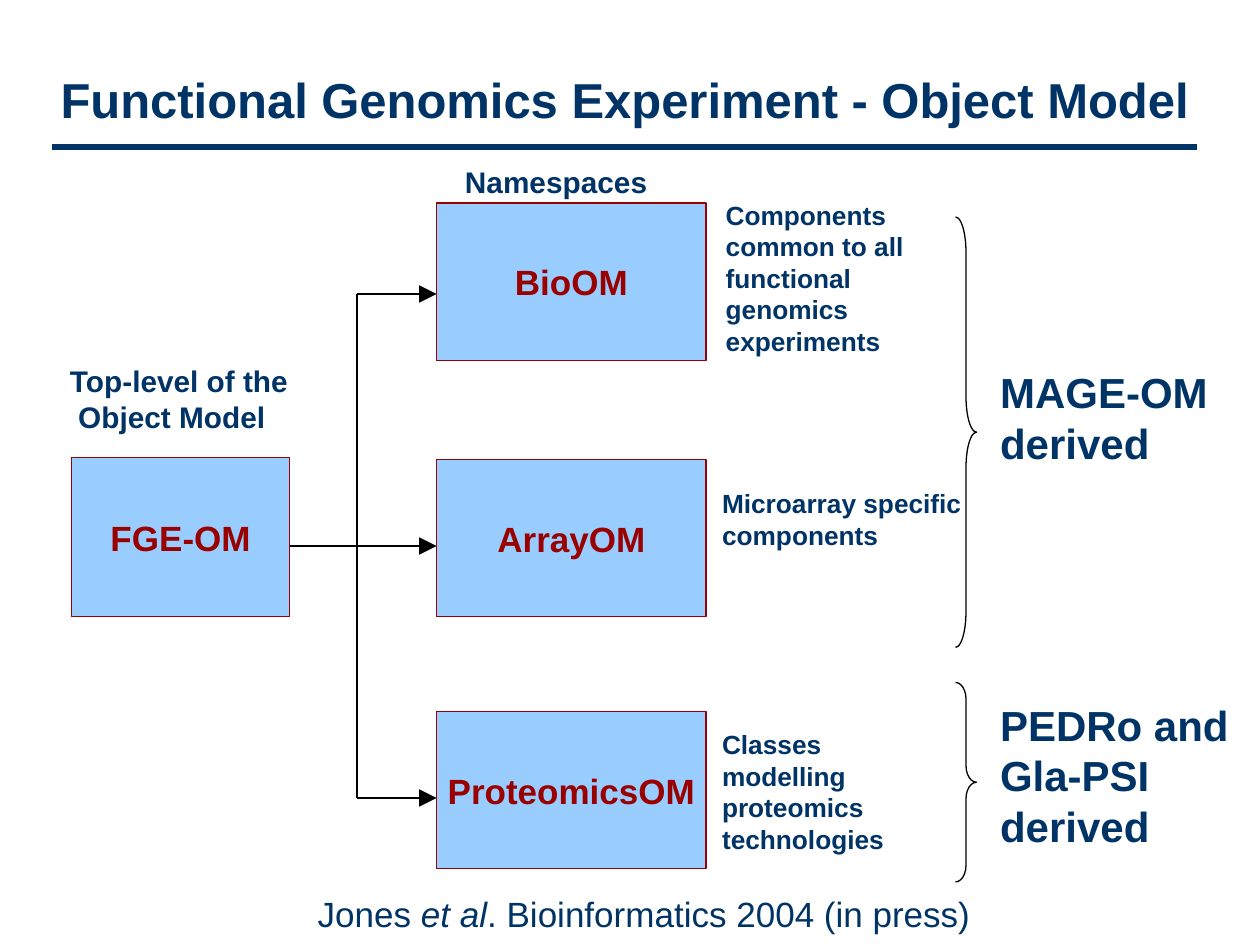
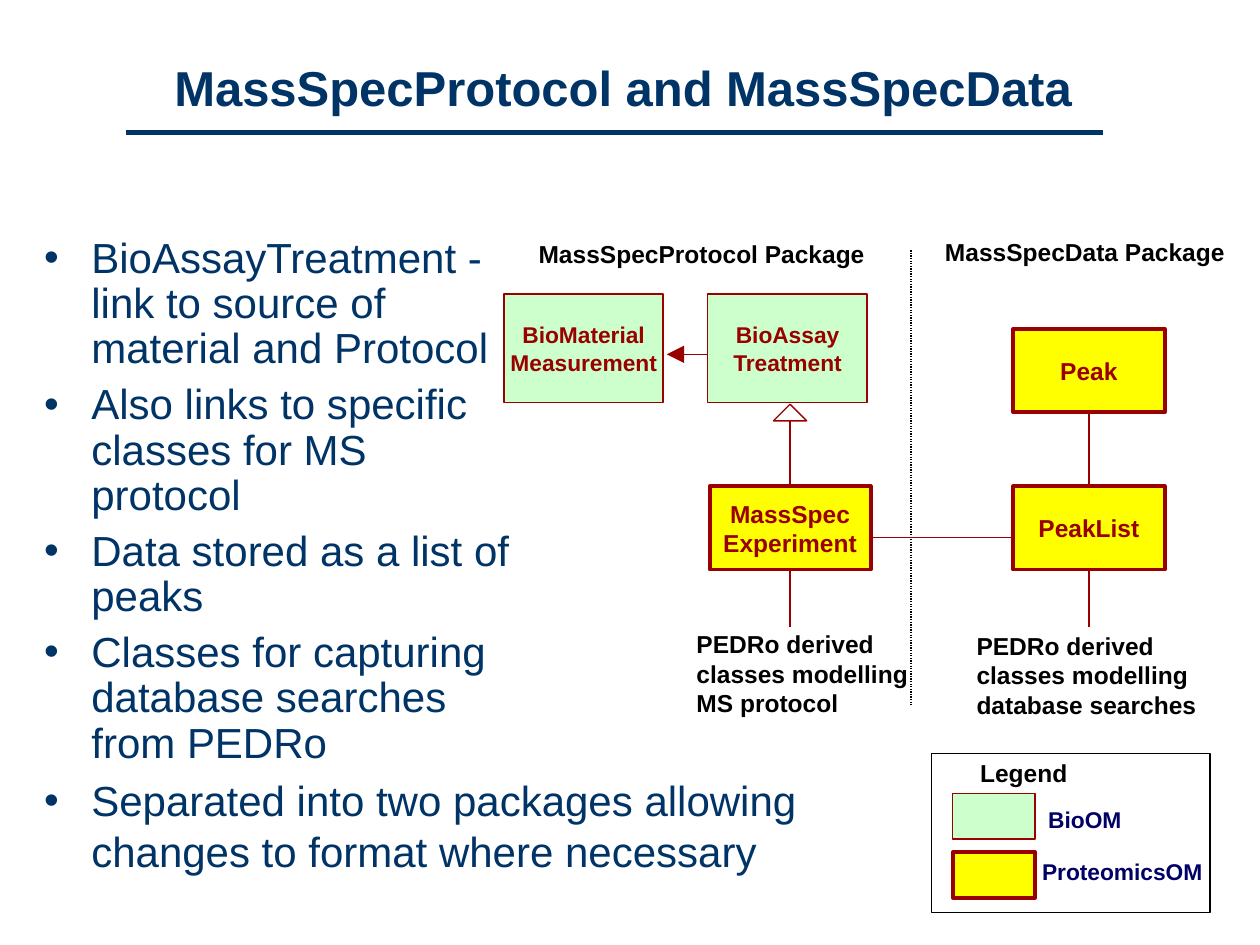
from dataclasses import dataclass

from lxml import etree
from pptx import Presentation
from pptx.dml.color import RGBColor
from pptx.enum.dml import MSO_LINE
from pptx.enum.shapes import MSO_CONNECTOR, MSO_SHAPE
from pptx.enum.text import MSO_ANCHOR, MSO_AUTO_SIZE, PP_ALIGN
from pptx.oxml.ns import qn
from pptx.util import Pt

LEFT, CENTER = PP_ALIGN.LEFT, PP_ALIGN.CENTER
TOP, MIDDLE = MSO_ANCHOR.TOP, MSO_ANCHOR.MIDDLE
RECTANGLE, BRACE = MSO_SHAPE.RECTANGLE, MSO_SHAPE.RIGHT_BRACE
TRIANGLE = MSO_SHAPE.ISOSCELES_TRIANGLE
STRAIGHT, DOTTED = MSO_CONNECTOR.STRAIGHT, MSO_LINE.ROUND_DOT
SIDE_TOP, SIDE_BOTTOM = 0, 2
TITLE_ONLY, TITLE_AND_BODY = 5, 1


@dataclass(frozen=True)
class Theme:
    font: str = "Arial"
    navy: str = "003366"
    indigo: str = "000066"
    maroon: str = "990000"
    black: str = "000000"
    sky: str = "99CCFF"
    mint: str = "CCFFCC"
    yellow: str = "FFFF00"
    title: float = 28
    body: float = 24
    model: float = 20
    heading: float = 17
    note: float = 15
    label: float = 14
    small: float = 13
    thin: float = 0.75
    thick: float = 2.25
    rule: float = 3
    hang: float = 27


class Deck:
    """Holds the theme and the slide being drawn."""

    def __init__(self, theme):
        self.theme = theme
        self.prs = Presentation()
        self.prs.slide_width, self.prs.slide_height = Pt(720), Pt(540)
        self.slide = None

    def new_slide(self, layout, title, title_box, rule):
        t = self.theme
        self.slide = self.prs.slides.add_slide(self.prs.slide_layouts[layout])
        heading = self.slide.shapes.title
        self.place(heading, title_box)
        self.set_text(heading, [title], t.title, t.navy, True, CENTER, MIDDLE)
        left, right, y = rule
        self.line((left, y), (right, y), t.navy, t.rule)

    def place(self, shape, box):
        shape.left, shape.top, shape.width, shape.height = map(Pt, box)

    def set_text(self, shape, paragraphs, size, color, bold=False,
                 align=LEFT, anchor=TOP):
        """A paragraph is a string or a list of (text, italic) runs;
        a newline in a run is a line break."""
        frame = shape.text_frame
        frame.word_wrap = True
        frame.auto_size = MSO_AUTO_SIZE.NONE
        frame.vertical_anchor = anchor
        frame.margin_left = frame.margin_right = 0
        frame.margin_top = frame.margin_bottom = 0
        for i, runs in enumerate(paragraphs):
            para = frame.add_paragraph() if i else frame.paragraphs[0]
            para.alignment = align
            if isinstance(runs, str):
                runs = [(runs, False)]
            for words, italic in runs:
                for n, part in enumerate(words.split("\n")):
                    if n:
                        para.add_line_break()
                    run = para.add_run()
                    run.text = part
                    font = run.font
                    font.name, font.size = self.theme.font, Pt(size)
                    font.bold, font.italic = bold, italic
                    font.color.rgb = RGBColor.from_string(color)
        return frame

    def text(self, box, paragraphs, size, color, bold=True, **layout):
        holder = self.slide.shapes.add_textbox(*map(Pt, box))
        return self.set_text(holder, paragraphs, size, color, bold, **layout)

    def bullets(self, frame, line_spacing=None, space_before=0):
        hang = Pt(self.theme.hang)
        for para in frame.paragraphs:
            para.line_spacing = line_spacing
            para.space_before = Pt(space_before)
            props = para._p.get_or_add_pPr()
            props.set("marL", str(hang))
            props.set("indent", str(-hang))
            color = etree.SubElement(props, qn("a:buClr"))
            etree.SubElement(color, qn("a:srgbClr"), val=self.theme.navy)
            etree.SubElement(props, qn("a:buFont"), typeface=self.theme.font)
            etree.SubElement(props, qn("a:buChar"), char="•")

    def body(self, box, items):
        holder = self.slide.placeholders[1]
        self.place(holder, box)
        frame = self.set_text(holder, items, self.theme.body, self.theme.navy)
        self.bullets(frame, 0.9, 6)

    def shape(self, kind, box, fill, stroke, weight):
        shape = self.slide.shapes.add_shape(kind, *map(Pt, box))
        shape.shadow.inherit = False
        if fill:
            shape.fill.solid()
            shape.fill.fore_color.rgb = RGBColor.from_string(fill)
        else:
            shape.fill.background()
        shape.line.color.rgb = RGBColor.from_string(stroke)
        shape.line.width = Pt(weight)
        return shape

    def node(self, box, fill, name="", size=0, weight=None):
        t = self.theme
        node = self.shape(RECTANGLE, box, fill, t.maroon, weight or t.thin)
        if name:
            self.set_text(node, [name], size, t.maroon, True, CENTER, MIDDLE)
        return node

    def brace(self, box):
        brace = self.shape(BRACE, box, None, self.theme.black, self.theme.thin)
        brace.adjustments[0] = box[3] / 12 / box[2]

    def line(self, start, end, color, weight=None, arrow=False, dash=None,
             begin=None, finish=None):
        """begin and finish are (shape, side) pairs to join."""
        link = self.slide.shapes.add_connector(
            STRAIGHT, *map(Pt, (*start, *end)))
        if begin:
            link.begin_connect(*begin)
        if finish:
            link.end_connect(*finish)
        link.line.color.rgb = RGBColor.from_string(color)
        link.line.width = Pt(weight or self.theme.thin)
        if dash:
            link.line.dash_style = dash
        props = link._element.spPr
        if arrow:
            etree.SubElement(props.find(qn("a:ln")), qn("a:tailEnd"),
                             type="triangle", w="lg", len="lg")
        etree.SubElement(props, qn("a:effectLst"))


def object_model(deck):
    t = deck.theme
    deck.new_slide(TITLE_ONLY, "Functional Genomics Experiment - Object Model",
                   (18, 11.5, 678, 90), (30, 684, 84))

    # Top level and its namespaces
    deck.text((40, 207.5, 132, 41), ["Top-level of the", " Object Model"],
              t.heading, t.navy)
    deck.node((41, 261.5, 124.5, 91), t.sky, "FGE-OM", t.model)
    deck.text((265.7, 93.6, 110, 20), ["Namespaces"], t.heading, t.navy)

    namespaces = [
        ("BioOM", 116, 168, (414.7, 113.8, 136, 90),
         "Components common to all functional genomics experiments"),
        ("ArrayOM", 262.5, 312, (412.6, 278.6, 148, 36),
         "Microarray specific components"),
        ("ProteomicsOM", 406.5, 456, (412.6, 416.2, 128, 72),
         "Classes modelling proteomics technologies"),
    ]
    trunk_x, namespace_x = 204, 249.5
    for name, top, arrow_y, note_box, note in namespaces:
        deck.node((namespace_x, top, 154, 90), t.sky, name, t.model)
        deck.text(note_box, [note], t.note, t.navy)
        start_x = 165.5 if name == "ArrayOM" else trunk_x
        deck.line((start_x, arrow_y), (namespace_x, arrow_y), t.black,
                  arrow=True)
    deck.line((trunk_x, 168), (trunk_x, 456), t.black)

    # Where the namespaces come from
    for top, height in ((124, 246), (390, 114)):
        deck.brace((546, top, 12, height))
    deck.text((571.5, 209.5, 140, 58), ["MAGE-OM", "derived"], t.body, t.navy)
    deck.text((571.5, 399.6, 136, 87), ["PEDRo and Gla-PSI", "derived"],
              t.body, t.navy)
    deck.text((181.5, 510, 437, 25),
              [[("Jones ", False), ("et al", True),
                (". Bioinformatics 2004 (in press)", False)]],
              t.model, t.navy, bold=False)


def mass_spec(deck):
    t = deck.theme
    deck.new_slide(TITLE_AND_BODY, "MassSpecProtocol and MassSpecData",
                   (76, 29, 560, 41), (72, 630, 75.6))

    # Key points
    deck.body((25.2, 135.4, 279.4, 317), [
        "BioAssayTreatment - link to source of material and Protocol",
        "Also links to specific classes for MS\nprotocol",
        "Data stored as a list of peaks",
        "Classes for capturing database searches from PEDRo",
    ])
    packages_point = deck.text(
        (25.2, 442.8, 448, 58),
        ["Separated into two packages allowing changes to format "
         "where necessary"], t.body, t.navy, bold=False)
    deck.bullets(packages_point)

    # Package headings and divider
    for box, package in (((302, 134, 198, 22), "MassSpecProtocol Package"),
                         ((534, 133, 172, 22), "MassSpecData Package")):
        deck.text(box, [package], t.label, t.black, align=CENTER,
                  anchor=MIDDLE)
    deck.line((520.5, 143), (520.5, 402.5), t.black, dash=DOTTED)

    # Classes
    for left, name in ((288, "BioMaterial Measurement"),
                       (404.5, "BioAssay Treatment")):
        deck.node((left, 168, 91, 62), t.mint, name, t.small)
    experiment, peak_list, peak = [
        deck.node((left, top, width, 47.5), t.yellow, name, t.label, t.thick)
        for left, top, width, name in (
            (405.5, 278, 92, "MassSpec Experiment"),
            (579, 278, 86.5, "PeakList"),
            (579, 188, 86.5, "Peak"))]

    # Relations
    experiment_x, peak_x = 451.5, 622.25
    deck.line((404.5, 202.5), (381, 202.5), t.maroon, arrow=True)
    deck.shape(TRIANGLE, (experiment_x - 9.5, 231, 19, 9.5), None,
               t.maroon, t.thin)
    deck.line((experiment_x, 278), (experiment_x, 240.5), t.maroon,
              begin=(experiment, SIDE_TOP))
    deck.line((497.5, 307), (579, 307), t.maroon)
    deck.line((peak_x, 235.5), (peak_x, 278), t.maroon,
              begin=(peak, SIDE_BOTTOM), finish=(peak_list, SIDE_TOP))
    for source, x in ((experiment, experiment_x), (peak_list, peak_x)):
        deck.line((x, 325.5), (x, 358.5), t.maroon,
                  begin=(source, SIDE_BOTTOM))
    for box, subject in (((398, 359.5, 138, 51), "MS protocol"),
                         ((558, 360.5, 140, 51), "database searches")):
        deck.text(box, [f"PEDRo derived classes modelling {subject}"],
                  t.label, t.black)

    # Legend
    deck.shape(RECTANGLE, (532.5, 430.5, 159, 91), None, t.black, t.thin)
    deck.text((558.5, 430.5, 53, 22), ["Legend"], t.label, t.black,
              align=CENTER, anchor=MIDDLE)
    for top, fill, weight, label_x, label_y, name in (
            (453.5, t.mint, t.thin, 599, 457, "BioOM"),
            (487, t.yellow, t.thick, 595.5, 487, "ProteomicsOM")):
        deck.node((544.5, top, 47, 26), fill, weight=weight)
        deck.text((label_x, label_y, 96, 22), [name], t.small, t.indigo,
                  anchor=MIDDLE)


def main():
    deck = Deck(Theme())
    object_model(deck)
    mass_spec(deck)
    deck.prs.save("out.pptx")


if __name__ == "__main__":
    main()
